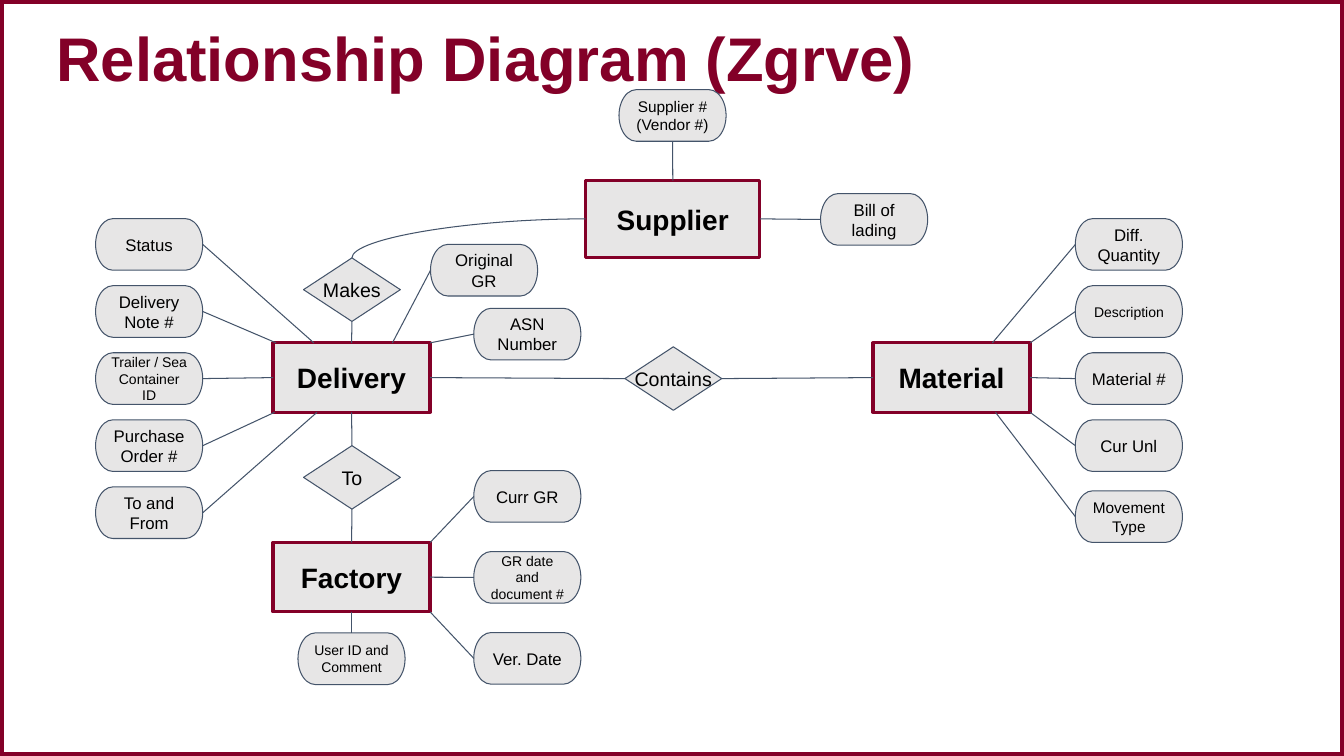
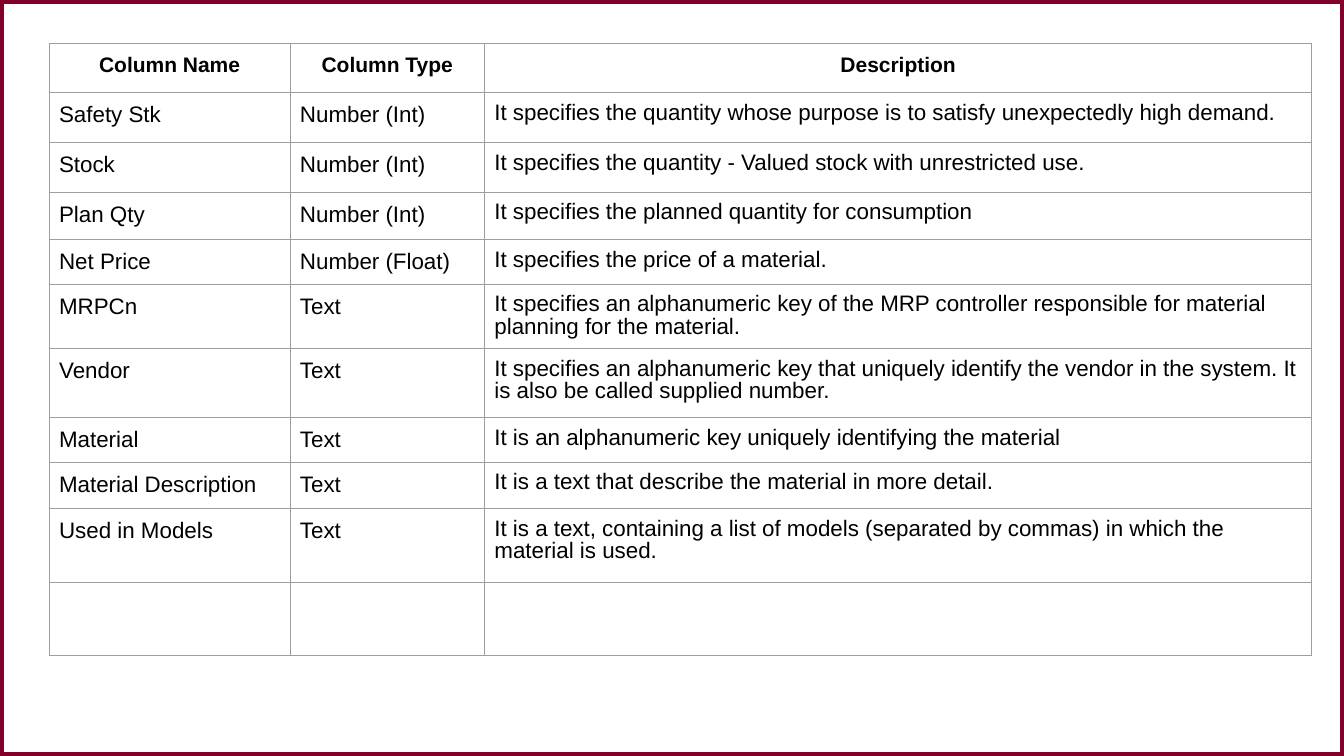
from lxml import etree
from pptx import Presentation
from pptx.dml.color import RGBColor
from pptx.enum.shapes import MSO_CONNECTOR, MSO_SHAPE
from pptx.enum.text import MSO_ANCHOR, PP_ALIGN
from pptx.oxml.ns import qn
from pptx.util import Cm, Pt

RECTANGLE = MSO_SHAPE.RECTANGLE
DIAMOND = MSO_SHAPE.DIAMOND
TERMINATOR = MSO_SHAPE.FLOWCHART_TERMINATOR
STRAIGHT = MSO_CONNECTOR.STRAIGHT
CURVE = MSO_CONNECTOR.CURVE
LEFT, CENTER = PP_ALIGN.LEFT, PP_ALIGN.CENTER
MIDDLE = MSO_ANCHOR.MIDDLE
TOP_SIDE, LEFT_SIDE, BOTTOM_SIDE, RIGHT_SIDE = range(4)

WIDTH, HEIGHT = 33.87, 19.05
FONT = "Arial"
INSET = 0.25
COLORS = {
    "accent": "830028",
    "fill": "E7E6E6",
    "link": "44546A",
    "text": "000000",
    "grid": "9E9E9E",
}

ENTITY_SIZE = (3.96, 1.75)
ENTITIES = {
    "Supplier": (14.76, 4.55, 4.39, 1.93),
    "Delivery": (6.88, 8.64, *ENTITY_SIZE),
    "Factory": (6.88, 13.67, *ENTITY_SIZE),
    "Material": (22, 8.64, *ENTITY_SIZE),
}
RELATION_SIZE = (2.44, 1.6)
RELATIONS = {"Contains": (15.75, 8.74), "To": (7.65, 11.23), "Makes": (7.65, 6.5)}
RELATION_LINKS = [
    ("Makes", BOTTOM_SIDE, "Delivery", TOP_SIDE),
    ("Delivery", BOTTOM_SIDE, "To", TOP_SIDE),
    ("To", BOTTOM_SIDE, "Factory", TOP_SIDE),
    ("Delivery", RIGHT_SIDE, "Contains", LEFT_SIDE),
    ("Contains", RIGHT_SIDE, "Material", LEFT_SIDE),
]

ATTRIBUTE_SIZE = (2.7, 1.3)
DELIVERY_X, FACTORY_X, MATERIAL_X = 2.41, 11.94, 27.1
OUTER_ROWS = [5.51 + 1.69 * row for row in range(5)]
FACTORY_ROWS = [11.86 + 2.04 * row for row in range(3)]
ATTRIBUTES = [
    ("Supplier # (Vendor #)", 15.6, 2.26, 11, BOTTOM_SIDE, "Supplier", TOP_SIDE),
    ("Bill of lading", 20.68, 4.88, 12, LEFT_SIDE, "Supplier", RIGHT_SIDE),
    ("Status", DELIVERY_X, OUTER_ROWS[0], 12, RIGHT_SIDE, "Delivery", (0.26, 0)),
    ("Delivery Note #", DELIVERY_X, OUTER_ROWS[1], 12, RIGHT_SIDE, "Delivery", (0.02, 0)),
    ("Trailer / Sea Container ID", DELIVERY_X, OUTER_ROWS[2], 10, RIGHT_SIDE, "Delivery", LEFT_SIDE),
    ("Purchase Order #", DELIVERY_X, OUTER_ROWS[3], 12, RIGHT_SIDE, "Delivery", (0.01, 1)),
    ("To and From", DELIVERY_X, OUTER_ROWS[4], 12, RIGHT_SIDE, "Delivery", (0.28, 1)),
    ("Original GR", 10.85, 6.16, 12, LEFT_SIDE, "Delivery", (0.76, 0)),
    ("ASN Number", FACTORY_X, 7.77, 12, LEFT_SIDE, "Delivery", (1, 0)),
    ("Curr GR", FACTORY_X, FACTORY_ROWS[0], 12, LEFT_SIDE, "Factory", (1, 0)),
    ("GR date and document #", FACTORY_X, FACTORY_ROWS[1], 10, LEFT_SIDE, "Factory", RIGHT_SIDE),
    ("Ver. Date", FACTORY_X, FACTORY_ROWS[2], 12, LEFT_SIDE, "Factory", (1, 1)),
    ("User ID and Comment", 7.51, 15.95, 10, TOP_SIDE, "Factory", BOTTOM_SIDE),
    ("Diff. Quantity", MATERIAL_X, OUTER_ROWS[0], 12, LEFT_SIDE, "Material", (0.76, 0)),
    ("Description", MATERIAL_X, OUTER_ROWS[1], 10, LEFT_SIDE, "Material", (1, 0)),
    ("Material #", MATERIAL_X, OUTER_ROWS[2], 12, LEFT_SIDE, "Material", RIGHT_SIDE),
    ("Cur Unl", MATERIAL_X, OUTER_ROWS[3], 12, LEFT_SIDE, "Material", (1, 1)),
    ("Movement Type", MATERIAL_X, 12.37, 11, LEFT_SIDE, "Material", (0.78, 1)),
]

COLUMN_WIDTHS = [6.07, 4.9, 20.85]
ROW_HEIGHTS = [1.24, 1.27, 1.24, 1.19, 1.12, 1.57, 1.73, 1.12, 1.17, 1.85, 1.85]
COLUMN_ROWS = [
    ("Column Name", "Column Type", "Description"),
    ("Safety Stk", "Number (Int)",
     "It specifies the quantity whose purpose is to satisfy unexpectedly high demand."),
    ("Stock", "Number (Int)",
     "It specifies the quantity - Valued stock with unrestricted use."),
    ("Plan Qty", "Number (Int)", "It specifies the planned quantity for consumption"),
    ("Net Price", "Number (Float)", "It specifies the price of a material."),
    ("MRPCn", "Text",
     "It specifies an alphanumeric key of the MRP controller responsible for "
     "material planning for the material."),
    ("Vendor", "Text",
     "It specifies an alphanumeric key that uniquely identify the vendor in the "
     "system. It is also be called supplied number."),
    ("Material", "Text", "It is an alphanumeric key uniquely identifying the material"),
    ("Material Description", "Text",
     "It is a text that describe the material in more detail."),
    ("Used in Models", "Text",
     "It is a text, containing a list of models (separated by commas) in which "
     "the material is used."),
    ("", "", ""),
]


def color(name):
    return RGBColor.from_string(COLORS[name])


class Board:
    def __init__(self):
        self.deck = Presentation()
        self.deck.slide_width, self.deck.slide_height = Cm(WIDTH), Cm(HEIGHT)
        self.page = None

    def new_page(self):
        self.page = self.deck.slides.add_slide(self.deck.slide_layouts[6])
        self.shape(RECTANGLE, (0, 0, WIDTH, HEIGHT), None, "accent", 6)

    def add_text(self, frame, text, size, bold=False, tone="text", align=CENTER):
        para = frame.paragraphs[0]
        para.alignment = align
        span = para.add_run()
        span.text = text
        span.font.name = FONT
        span.font.size = Pt(size)
        span.font.bold = bold
        span.font.color.rgb = color(tone)
        return para

    def inset(self, holder, horizontal=INSET, vertical=INSET):
        holder.margin_left = holder.margin_right = Cm(horizontal)
        holder.margin_top = holder.margin_bottom = Cm(vertical)

    def title(self, text):
        box = self.page.shapes.add_textbox(Cm(1.17), Cm(0.38), Cm(31.57), Cm(2.36))
        frame = box.text_frame
        frame.word_wrap = True
        frame.vertical_anchor = MIDDLE
        self.inset(frame, vertical=0.13)
        self.add_text(frame, text, 44, True, "accent", LEFT).line_spacing = 0.9

    def shape(self, kind, place, fill, line, weight):
        shape = self.page.shapes.add_shape(kind, *map(Cm, place))
        shape.shadow.inherit = False
        if fill:
            shape.fill.solid()
            shape.fill.fore_color.rgb = color(fill)
        else:
            shape.fill.background()
        shape.line.color.rgb = color(line)
        shape.line.width = Pt(weight)
        return shape

    def node(self, kind, place, text, size, line="link", weight=0.75, bold=False, wrap=True):
        shape = self.shape(kind, place, "fill", line, weight)
        frame = shape.text_frame
        frame.word_wrap = wrap
        frame.vertical_anchor = MIDDLE
        self.inset(frame)
        self.add_text(frame, text, size, bold)
        return shape

    def link(self, start, side, end, target, kind=STRAIGHT):
        connector = self.page.shapes.add_connector(kind, 0, 0, 0, 0)
        connector.begin_connect(start, side)
        if isinstance(target, tuple):
            connector.end_x = int(end.left + target[0] * end.width)
            connector.end_y = int(end.top + target[1] * end.height)
        else:
            connector.end_connect(end, target)
        connector.line.color.rgb = color("link")
        connector.line.width = Pt(0.75)
        properties = connector._element.spPr
        etree.SubElement(properties, qn("a:effectLst"))
        if kind == CURVE:
            properties.find(qn("a:prstGeom")).set("prst", "curvedConnector2")

    def border(self, cell):
        properties = cell._tc.get_or_add_tcPr()
        for edge in ("a:lnL", "a:lnR", "a:lnT", "a:lnB"):
            line = etree.SubElement(properties, qn(edge), w=str(Pt(0.75)))
            fill = etree.SubElement(line, qn("a:solidFill"))
            etree.SubElement(fill, qn("a:srgbClr"), val=COLORS["grid"])

    def table(self, left, top, widths, heights, rows):
        table = self.page.shapes.add_table(
            len(rows), len(widths), Cm(left), Cm(top), Cm(sum(widths)), Cm(sum(heights))
        ).table
        table.first_row = table.horz_banding = False
        for column, width in zip(table.columns, widths):
            column.width = Cm(width)
        for index, (row, height, texts) in enumerate(zip(table.rows, heights, rows)):
            row.height = Cm(height)
            header = index == 0
            for number, (cell, text) in enumerate(zip(row.cells, texts)):
                self.inset(cell)
                self.border(cell)
                cell.fill.background()
                if not text:
                    continue
                para = self.add_text(cell.text_frame, text, 15 if header else 16, header,
                                     align=CENTER if header else LEFT)
                if not header and number == 2:
                    para.line_spacing = 0.9
                    para.space_before = Pt(10)


def relationship_page(board):
    board.new_page()
    board.title("Relationship Diagram (Zgrve)")
    nodes = {}
    for name, place in ENTITIES.items():
        nodes[name] = board.node(RECTANGLE, place, name, 20, "accent", 2.25, True)
    for name, corner in RELATIONS.items():
        nodes[name] = board.node(DIAMOND, (*corner, *RELATION_SIZE), name, 14, wrap=False)
    board.link(nodes["Supplier"], LEFT_SIDE, nodes["Makes"], TOP_SIDE, CURVE)
    for start, side, end, target in RELATION_LINKS:
        board.link(nodes[start], side, nodes[end], target)
    for text, left, top, size, side, entity, target in ATTRIBUTES:
        attribute = board.node(TERMINATOR, (left, top, *ATTRIBUTE_SIZE), text, size)
        board.link(attribute, side, nodes[entity], target)


def columns_page(board):
    board.new_page()
    board.table(1.24, 1.09, COLUMN_WIDTHS, ROW_HEIGHTS, COLUMN_ROWS)


def main():
    board = Board()
    relationship_page(board)
    columns_page(board)
    board.deck.save("out.pptx")


if __name__ == "__main__":
    main()
